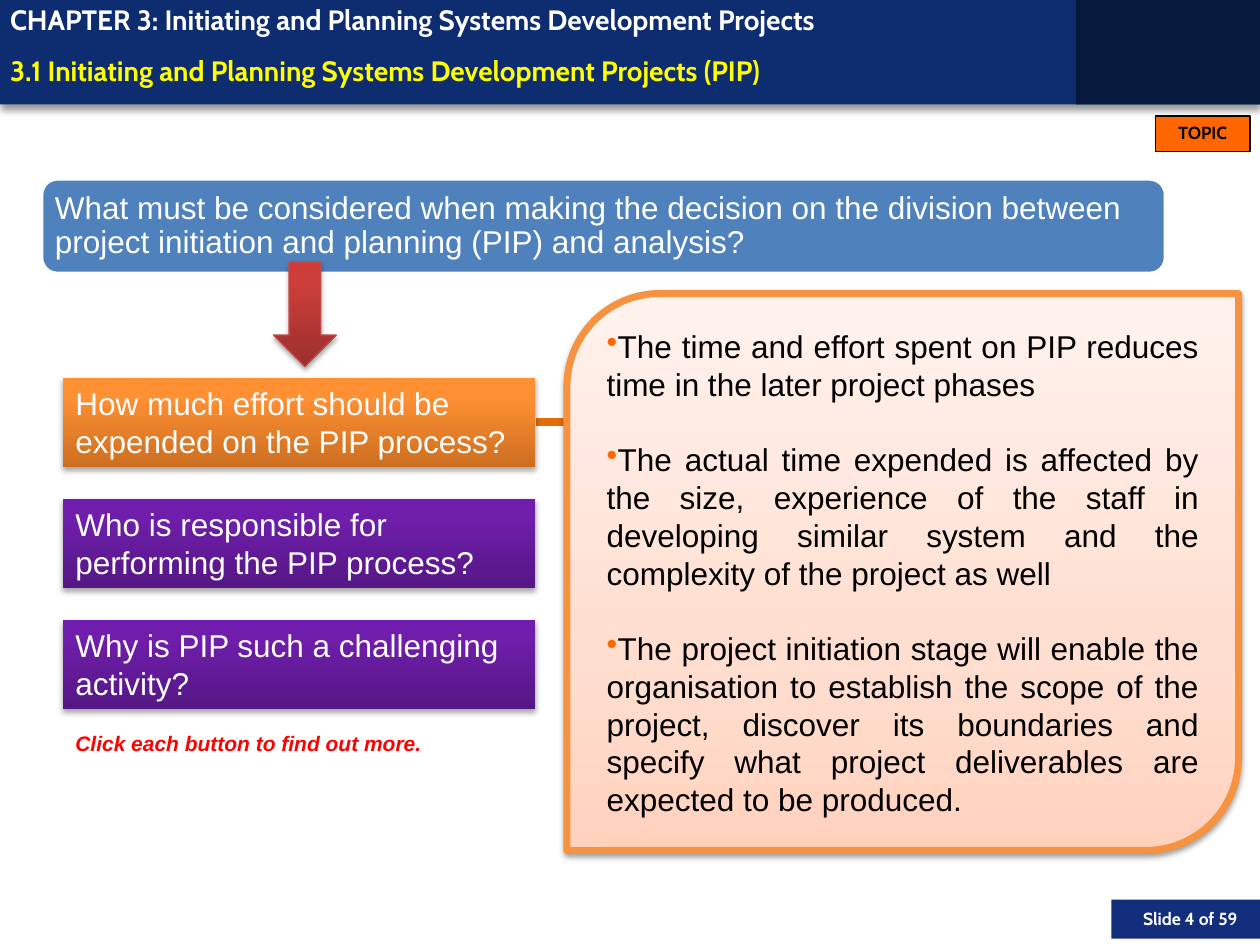
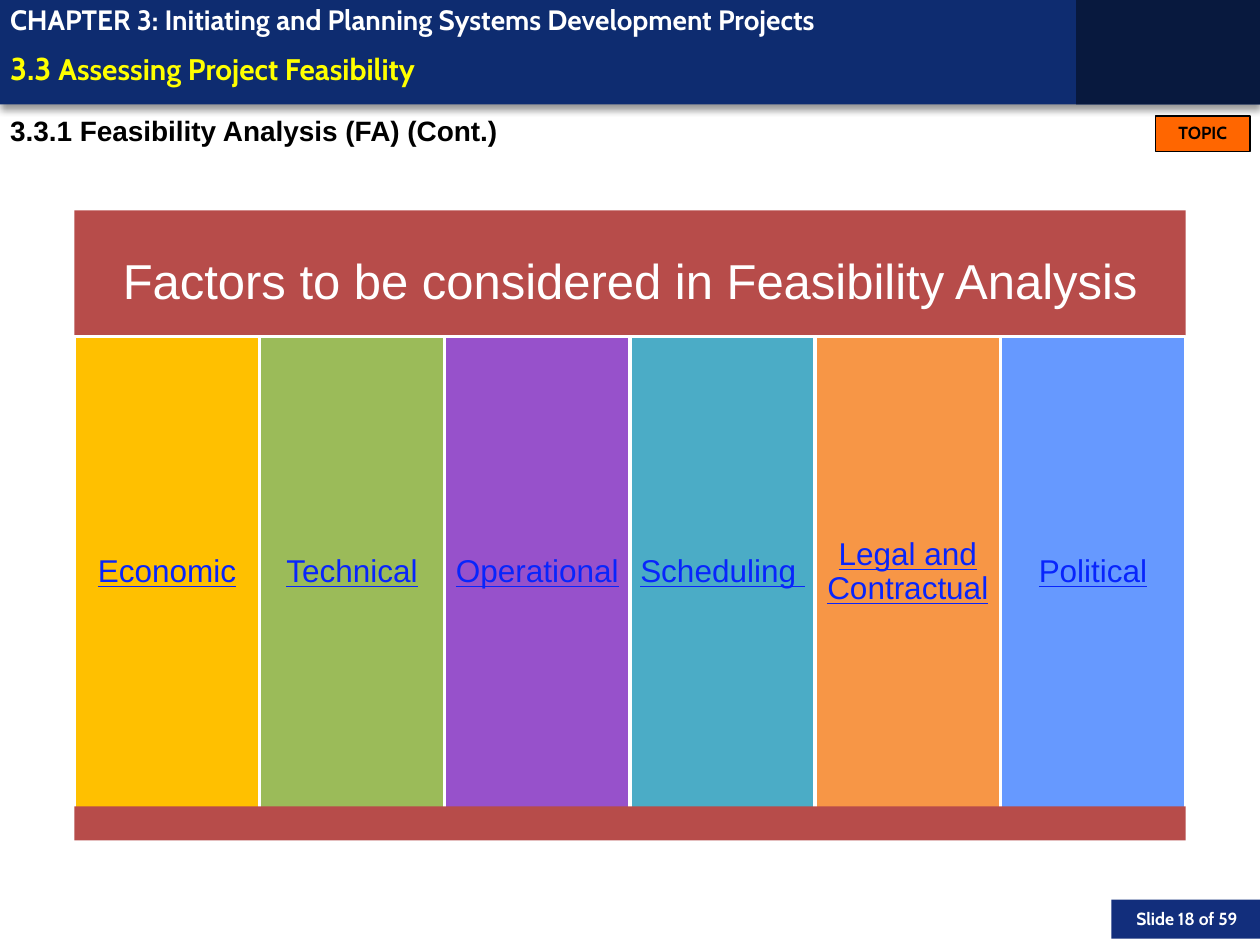
from lxml.etree import SubElement
from pptx import Presentation
from pptx.dml.color import RGBColor
from pptx.enum.shapes import MSO_CONNECTOR, MSO_SHAPE
from pptx.enum.text import MSO_ANCHOR, MSO_AUTO_SIZE, PP_ALIGN
from pptx.oxml.ns import qn
from pptx.util import Inches, Pt

# Colours
WHITE = RGBColor(0xFF, 0xFF, 0xFF)
BLACK = RGBColor(0x00, 0x00, 0x00)
RED = RGBColor(0xFF, 0x00, 0x00)
YELLOW = RGBColor(0xFF, 0xFF, 0x00)
NAVY = RGBColor(0x0E, 0x2C, 0x70)
DARK_NAVY = RGBColor(0x08, 0x19, 0x3E)
FOOTER_BLUE = RGBColor(0x12, 0x2E, 0x7C)
TOPIC_ORANGE = RGBColor(0xFF, 0x66, 0x00)
LINK_BLUE = RGBColor(0x08, 0x25, 0xFC)
QUESTION_BLUE = RGBColor(0x4F, 0x81, 0xBD)
LINK_ORANGE = RGBColor(0xE4, 0x6C, 0x0A)
PANEL_ORANGE = RGBColor(0xF6, 0x92, 0x40)
ARROW_RED = RGBColor(0xBF, 0x4C, 0x48)
BRICK = RGBColor(0xB7, 0x4C, 0x4A)
GOLD = RGBColor(0xFF, 0xC0, 0x00)
GREEN = RGBColor(0x9B, 0xBB, 0x59)
PURPLE = RGBColor(0x97, 0x51, 0xCB)
TEAL = RGBColor(0x4B, 0xAC, 0xC6)
ORANGE = RGBColor(0xF7, 0x96, 0x46)
SKY = RGBColor(0x66, 0x99, 0xFF)

# Gradients run from bottom to top: (percent, colour)
RED_GRADIENT = [(0, "9C2F2D"), (80, "CB3E3A"), (100, "CE3B37")]
ORANGE_GRADIENT = [(0, "CC6E20"), (80, "FF9034"), (100, "FF9136")]
PURPLE_GRADIENT = [(0, "551784"), (80, "6F1EAB"), (100, "701CAF")]
PEACH_GRADIENT = [(0, "FFD2BD"), (35, "FFDED0"), (100, "FFF2ED")]

# Shadows: opacity percent, blur and distance in points
BAND_SHADOW = (40, 4, 3)
BUTTON_SHADOW = (35, 3.1, 1.8)
PANEL_SHADOW = (38, 3.1, 1.6)

# Text formats
LABEL = {"name": "Cabin", "size": Pt(10), "bold": True, "color": WHITE}
HEADING = {**LABEL, "size": Pt(16)}
TITLE = {**HEADING, "color": YELLOW}
BODY = {"name": "Arial", "size": Pt(18), "color": WHITE}
LINK = {**BODY, "color": LINK_BLUE, "underline": True}
HINT = {"name": "Arial", "size": Pt(12), "bold": True, "italic": True, "color": RED}
SUBHEADING = {"name": "Arial", "size": Pt(16), "bold": True, "color": BLACK}
BANNER = {**BODY, "size": Pt(28)}

DEFAULT_INSETS = (0.1, 0.05, 0.1, 0.05)
HEADING_INSETS = (0.08, 0, 0.08, 0)

# Content
CHAPTER = "CHAPTER 3: Initiating and Planning Systems Development Projects"
SLIDE_COUNT = 59
PIP_TITLE = [("3.1 Initiating and Planning Systems Development Projects (PIP)", TITLE)]
FEASIBILITY_TITLE = [
    ("3.3 ", {**TITLE, "size": Pt(18)}),
    ("Assessing Project Feasibility", {**TITLE, "size": Pt(17)}),
]
MAIN_QUESTION = (
    "What must be considered when making the decision on the division between "
    "project initiation and planning (PIP) and analysis?"
)
BUTTONS = [
    ("How much effort should be expended on the PIP process?", ORANGE_GRADIENT),
    ("Who is responsible for performing the PIP process?", PURPLE_GRADIENT),
    ("Why is PIP such a challenging activity?", PURPLE_GRADIENT),
]
ANSWERS = [
    "The time and effort spent on PIP reduces time in the later project phases",
    "The actual time expended is affected by the size, experience of the staff in "
    "developing similar system and the complexity of the project as well",
    "The project initiation stage will enable the organisation to establish the scope "
    "of the project, discover its boundaries and specify what project deliverables "
    "are expected to be produced.",
]
FACTORS = [
    ("Economic", GOLD),
    ("Technical", GREEN),
    ("Operational", PURPLE),
    ("Scheduling ", TEAL),
    ("Legal and Contractual", ORANGE),
    ("Political", SKY),
]


def write(shape, paragraphs, align=PP_ALIGN.LEFT, anchor=MSO_ANCHOR.TOP,
          insets=DEFAULT_INSETS, line_spacing=None, gap=0):
    """Fill a shape with paragraphs, each a list of (text, format) runs."""
    frame = shape.text_frame
    frame.word_wrap = True
    frame.auto_size = MSO_AUTO_SIZE.NONE
    frame.vertical_anchor = anchor
    for side, inset in zip(("left", "top", "right", "bottom"), insets):
        setattr(frame, f"margin_{side}", Inches(inset))
    for index, runs in enumerate(paragraphs):
        paragraph = frame.add_paragraph() if index else frame.paragraphs[0]
        paragraph.alignment = align
        paragraph.line_spacing = line_spacing
        paragraph.space_before = Pt(gap if index else 0)
        for text, text_format in runs:
            run = paragraph.add_run()
            run.text = text
            for key, value in text_format.items():
                if key == "color":
                    run.font.color.rgb = value
                else:
                    setattr(run.font, key, value)


def add_text(slide, box, text, text_format, **layout):
    text_box = slide.shapes.add_textbox(*map(Inches, box))
    write(text_box, [[(text, text_format)]], **layout)


def fill_gradient(shape, stops):
    shape.fill.gradient()
    shape.fill.gradient_angle = 90
    stop_list = shape.element.spPr.find(qn("a:gradFill")).find(qn("a:gsLst"))
    stop_list.clear()
    for percent, colour in stops:
        stop = SubElement(stop_list, qn("a:gs"), pos=str(percent * 1000))
        SubElement(stop, qn("a:srgbClr"), val=colour)


def add_shadow(shape, opacity, blur, distance):
    effects = shape.element.spPr.find(qn("a:effectLst"))
    shadow = SubElement(effects, qn("a:outerShdw"), blurRad=str(Pt(blur)),
                        dist=str(Pt(distance)), dir="5400000", rotWithShape="0")
    colour = SubElement(shadow, qn("a:srgbClr"), val="000000")
    SubElement(colour, qn("a:alpha"), val=str(opacity * 1000))


def add_block(slide, box, fill, kind=MSO_SHAPE.RECTANGLE, line=None, shadow=None):
    """Add a preset shape; fill is a colour or a list of gradient stops."""
    shape = slide.shapes.add_shape(kind, *map(Inches, box))
    shape.shadow.inherit = False
    if isinstance(fill, list):
        fill_gradient(shape, fill)
    else:
        shape.fill.solid()
        shape.fill.fore_color.rgb = fill
    if line:
        shape.line.color.rgb, shape.line.width = line[0], Pt(line[1])
    else:
        shape.line.fill.background()
    if shadow:
        add_shadow(shape, *shadow)
    return shape


def add_bullets(shape):
    for paragraph in shape.text_frame.paragraphs:
        properties = paragraph._p.get_or_add_pPr()
        properties.set("marL", "0")
        properties.set("indent", "0")
        colour = SubElement(properties, qn("a:buClr"))
        SubElement(colour, qn("a:srgbClr"), val=str(TOPIC_ORANGE))
        SubElement(properties, qn("a:buChar"), char="•")


def start_slide(presentation, title_runs, number):
    """Add a slide with the shared header, topic button, footer and title."""
    slide = presentation.slides.add_slide(presentation.slide_layouts[5])
    add_block(slide, (0, 0, 10, 0.83), NAVY, shadow=BAND_SHADOW)
    add_block(slide, (8.54, 0, 1.46, 0.83), DARK_NAVY)
    add_block(slide, (8.82, 7.14, 1.18, 0.31), FOOTER_BLUE)
    add_text(slide, (8.62, 7.14, 1.3, 0.25), f"Slide {number} of {SLIDE_COUNT}", LABEL,
             align=PP_ALIGN.RIGHT, anchor=MSO_ANCHOR.MIDDLE, insets=(0.1, 0.05, 0.1, 0))
    topic = add_block(slide, (9.17, 0.92, 0.75, 0.28), TOPIC_ORANGE, line=(BLACK, 0.75))
    write(topic, [[("TOPIC", {**LABEL, "color": BLACK})]], align=PP_ALIGN.CENTER)
    add_text(slide, (0, 0.02, 8.46, 0.27), CHAPTER, HEADING, insets=HEADING_INSETS)

    # The title sits in front of the header band
    title = slide.shapes.title
    title.left, title.top, title.width, title.height = map(Inches, (0, 0.29, 8.46, 0.55))
    write(title, [title_runs], anchor=MSO_ANCHOR.MIDDLE, insets=HEADING_INSETS,
          line_spacing=Pt(18))
    title.element.getparent().append(title.element)
    return slide


def build_pip_slide(presentation):
    slide = start_slide(presentation, PIP_TITLE, 4)

    # Main question and arrow
    question = add_block(slide, (0.33, 1.42, 8.92, 0.75), QUESTION_BLUE,
                         MSO_SHAPE.ROUNDED_RECTANGLE, line=(WHITE, 2))
    write(question, [[(MAIN_QUESTION, BODY)]], anchor=MSO_ANCHOR.MIDDLE,
          insets=(0.07,) * 4, line_spacing=0.9)
    add_block(slide, (2.17, 2.08, 0.5, 0.83), RED_GRADIENT, MSO_SHAPE.DOWN_ARROW,
              line=(ARROW_RED, 0.75), shadow=BUTTON_SHADOW)

    # Link from the active button to its answer
    connector = slide.shapes.add_connector(
        MSO_CONNECTOR.STRAIGHT, *map(Inches, (4.25, 3.35, 4.58, 3.35)))
    connector.line.color.rgb, connector.line.width = LINK_ORANGE, Pt(5)
    SubElement(connector.element.spPr, qn("a:effectLst"))

    # Buttons
    for index, (text, gradient) in enumerate(BUTTONS):
        button = add_block(slide, (0.5, 3 + 0.96 * index, 3.75, 0.71), gradient,
                           shadow=BUTTON_SHADOW)
        write(button, [[(text, BODY)]])
    add_text(slide, (0.5, 5.75, 3.67, 0.3), "Click each button to find out more.", HINT)

    # Answer panel
    panel = add_block(slide, (4.5, 2.33, 5.33, 4.42), PEACH_GRADIENT,
                      MSO_SHAPE.ROUND_2_DIAG_RECTANGLE, line=(PANEL_ORANGE, 4),
                      shadow=PANEL_SHADOW)
    write(panel, [[(text, {**BODY, "color": BLACK})] for text in ANSWERS],
          align=PP_ALIGN.JUSTIFY, gap=21.5)
    add_bullets(panel)


def build_feasibility_slide(presentation):
    slide = start_slide(presentation, FEASIBILITY_TITLE, 18)
    add_text(slide, (0, 0.92, 9, 0.35), "3.3.1 Feasibility Analysis (FA) (Cont.)",
             SUBHEADING, insets=HEADING_INSETS, line_spacing=Pt(18))

    # Banner
    left, width = 0.59, 8.82
    centred = {"align": PP_ALIGN.CENTER, "anchor": MSO_ANCHOR.MIDDLE, "line_spacing": 0.9}
    banner = add_block(slide, (left, 1.67, width, 1.16), BRICK)
    write(banner, [[("Factors to be considered in Feasibility Analysis", BANNER)]],
          insets=(0.12,) * 4, **centred)

    # Factor columns
    column_width = width / len(FACTORS)
    for index, (factor, colour) in enumerate(FACTORS):
        column = add_block(slide, (left + index * column_width, 2.67, column_width, 3.75),
                           colour, line=(WHITE, 2))
        write(column, [[(factor, LINK)]], insets=(0.07,) * 4, **centred)

    # Base strip
    add_block(slide, (left, 6.4, width, 0.27), BRICK)


def main():
    presentation = Presentation()
    presentation.slide_width, presentation.slide_height = Inches(10), Inches(7.5)
    build_pip_slide(presentation)
    build_feasibility_slide(presentation)
    presentation.save("out.pptx")


if __name__ == "__main__":
    main()
